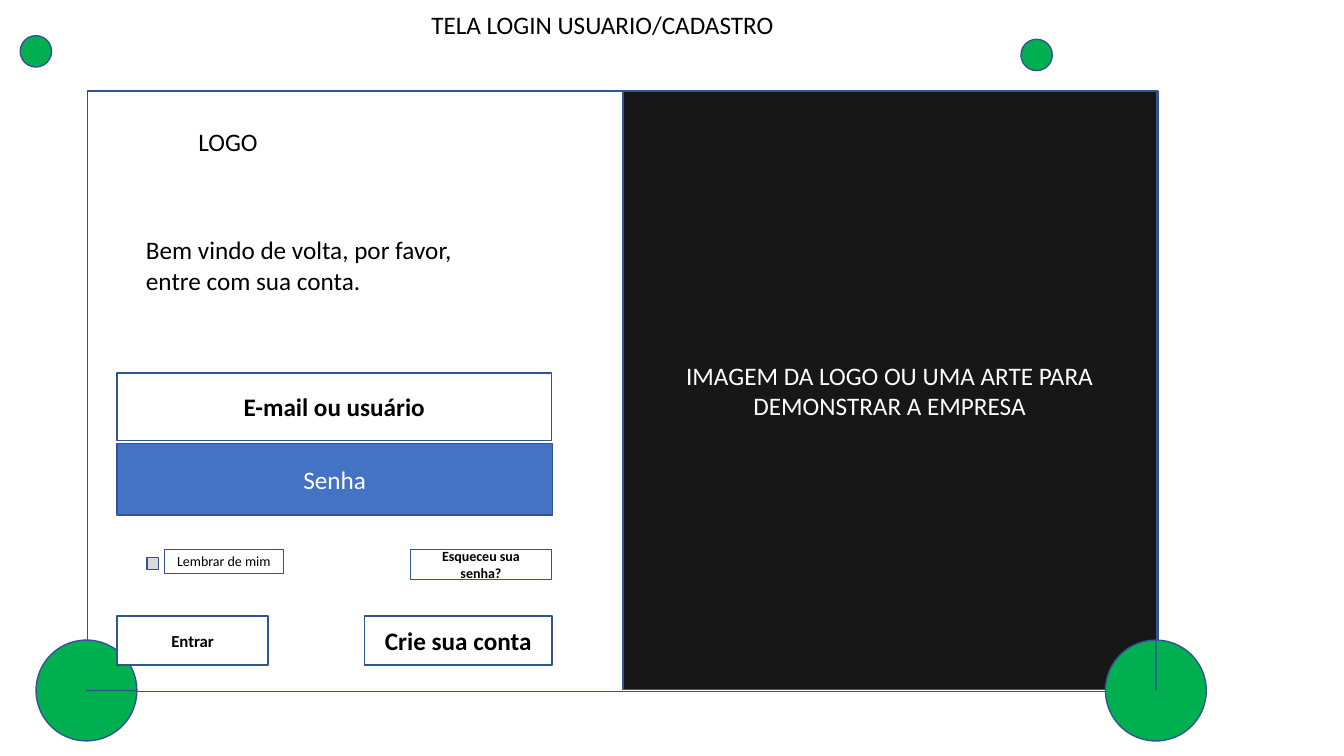
from pptx import Presentation
from pptx.dml.color import RGBColor
from pptx.enum import shapes, text
from pptx.util import Cm, Pt

COLORS = {
    "white": "FFFFFF", "black": "000000", "dark": "181717", "green": "00B050",
    "blue": "4472C4", "gray": "D9D9D9", "outline": "325491",
}
KINDS = shapes.MSO_SHAPE


def write(shape, content, size=18, color="black", bold=False, align="CENTER",
          anchor="MIDDLE", wrap=True):
    frame = shape.text_frame
    frame.text = content
    frame.word_wrap = wrap
    frame.vertical_anchor = getattr(text.MSO_ANCHOR, anchor)
    for paragraph in frame.paragraphs:
        paragraph.alignment = getattr(text.PP_ALIGN, align)
        for run in paragraph.runs:
            run.font.name = "Calibri"
            run.font.size = Pt(size)
            run.font.bold = bold
            run.font.color.rgb = RGBColor.from_string(COLORS[color])


def draw(kind, left, top, width, height, fill):
    shape = slide.shapes.add_shape(kind, Cm(left), Cm(top), Cm(width), Cm(height))
    shape.shadow.inherit = False
    shape.fill.solid()
    shape.fill.fore_color.rgb = RGBColor.from_string(COLORS[fill])
    shape.line.color.rgb = RGBColor.from_string(COLORS["outline"])
    shape.line.width = Pt(1)
    return shape


presentation = Presentation()
presentation.slide_width = Cm(33.87)
presentation.slide_height = Cm(19.05)
slide = presentation.slides.add_slide(presentation.slide_layouts[6])

# Small circles above the login window
for left, top in [(0.51, 0.9), (25.73, 0.99)]:
    draw(KINDS.OVAL, left, top, 0.79, 0.79, "green")

# Login window with its artwork panel
draw(KINDS.RECTANGLE, 2.21, 2.29, 26.97, 15.14, "white")
artwork = draw(KINDS.RECTANGLE, 15.7, 2.29, 13.44, 15.09, "dark")
write(artwork, "IMAGEM DA LOGO OU UMA ARTE PARA DEMONSTRAR A EMPRESA", color="white")

# Three-quarter circles around the lower corners
for left, rotation in [(27.86, 270), (0.91, 0)]:
    corner = draw(KINDS.PIE, left, 16.13, 2.54, 2.54, "green")
    corner.adjustments[0], corner.adjustments[1] = 0, -90
    corner.rotation = rotation

# Title, logo placeholder and greeting
labels = [
    (10.62, 0.1, 9.22, 1.8, "TELA LOGIN USUARIO/CADASTRO", False),
    (4.75, 3.05, 7.11, 1.02, "LOGO", True),
    (3.43, 5.79, 10.97, 1.8, "Bem vindo de volta, por favor,\nentre com sua conta.", True),
]
for left, top, width, height, content, wrap in labels:
    label = slide.shapes.add_textbox(Cm(left), Cm(top), Cm(width), Cm(height))
    write(label, content, align="LEFT", anchor="TOP", wrap=wrap)

# Fields and buttons
controls = [
    (2.95, 9.4, 10.95, 1.7, "white", "E-mail ou usuário", dict(bold=True)),
    (2.95, 11.18, 10.97, 1.8, "blue", "Senha", dict(color="white")),
    (2.95, 15.52, 3.81, 1.24, "white", "Entrar", dict(size=12, bold=True)),
    (9.19, 15.52, 4.72, 1.24, "white", "Crie sua conta", dict(bold=True)),
    (4.14, 13.84, 3, 0.61, "white", "Lembrar de mim", dict(size=10)),
    (10.34, 13.84, 3.56, 0.76, "white", "Esqueceu sua senha?", dict(size=10, bold=True)),
]
for left, top, width, height, fill, content, style in controls:
    write(draw(KINDS.RECTANGLE, left, top, width, height, fill), content, **style)

# Remember-me checkbox
draw(KINDS.RECTANGLE, 3.71, 14.05, 0.28, 0.3, "gray")

presentation.save("out.pptx")
